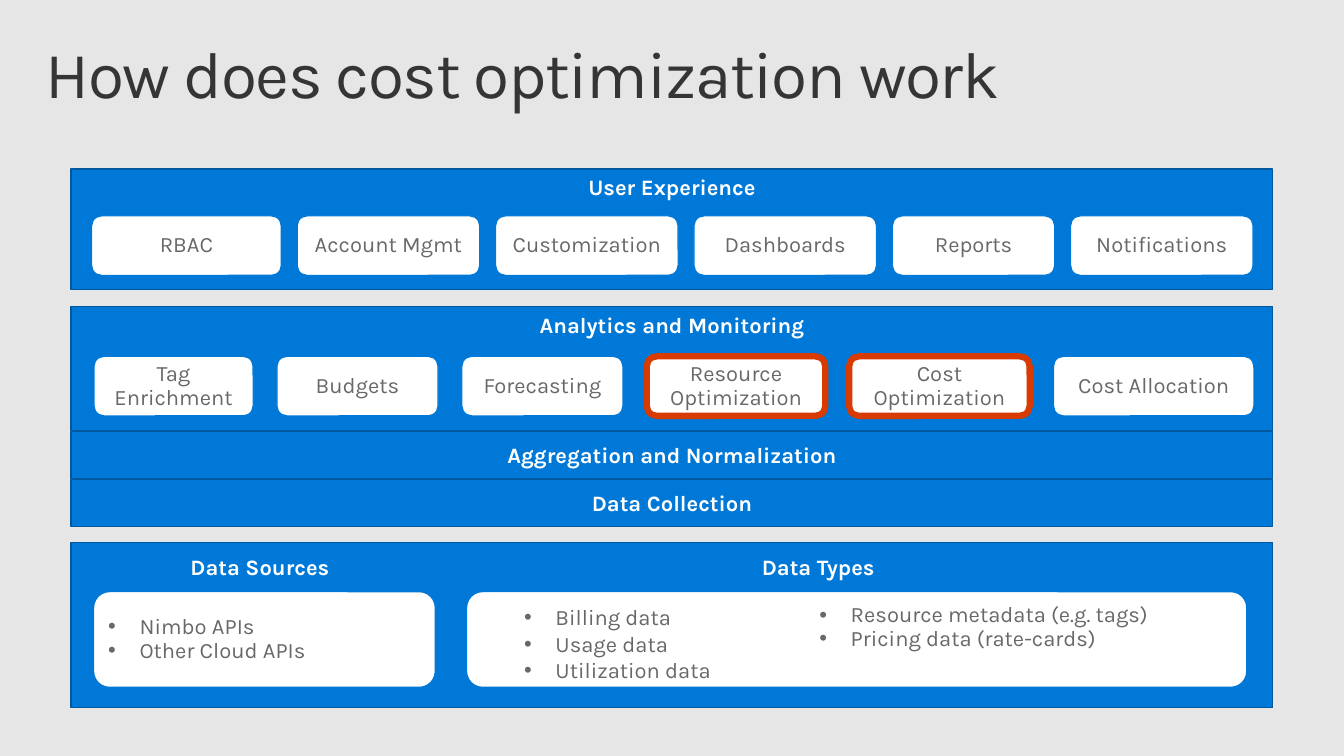
from lxml.etree import SubElement
from pptx import Presentation
from pptx.dml.color import RGBColor
from pptx.enum.shapes import MSO_SHAPE
from pptx.enum.text import MSO_ANCHOR, MSO_AUTO_SIZE, PP_ALIGN
from pptx.oxml.ns import qn
from pptx.util import Cm, Pt

BACKGROUND = RGBColor(0xE6, 0xE6, 0xE6)
TITLE_GREY = RGBColor(0x35, 0x35, 0x35)
TEXT_GREY = RGBColor(0x68, 0x68, 0x68)
BLUE = RGBColor(0x00, 0x78, 0xD7)
DARK_BLUE = RGBColor(0x00, 0x59, 0x9F)
ORANGE = RGBColor(0xD8, 0x3B, 0x01)
WHITE = RGBColor(0xFF, 0xFF, 0xFF)
FONT = "Karla"

presentation = Presentation()
presentation.slide_width = Cm(33.87)
presentation.slide_height = Cm(19.05)
slide = presentation.slides.add_slide(presentation.slide_layouts[5])
slide.background.fill.solid()
slide.background.fill.fore_color.rgb = BACKGROUND


def write_lines(shape, lines, color, alignment=PP_ALIGN.LEFT, spacing=None,
                bold=False, bulleted=False):
    """Fill a shape with one paragraph per line."""
    frame = shape.text_frame
    frame.word_wrap = True
    frame.text = "\n".join(lines)
    for paragraph in frame.paragraphs:
        if bulleted:
            properties = paragraph._p.get_or_add_pPr()
            properties.set("marL", str(Cm(0.79)))
            properties.set("indent", str(-Cm(0.79)))
            SubElement(properties, qn("a:buFont"), typeface="Arial")
            SubElement(properties, qn("a:buChar"), char="•")
        paragraph.alignment = alignment
        paragraph.line_spacing = spacing
        paragraph.font.name = FONT
        paragraph.font.size = Pt(15.7)
        paragraph.font.bold = bold
        paragraph.font.color.rgb = color


def add_box(kind, left, top, width, height, fill, line, line_width=0.85):
    box = slide.shapes.add_shape(kind, Cm(left), Cm(top), Cm(width), Cm(height))
    box.shadow.inherit = False
    box.fill.solid()
    box.fill.fore_color.rgb = fill
    box.line.color.rgb = line
    box.line.width = Pt(line_width)
    box.text_frame.vertical_anchor = MSO_ANCHOR.MIDDLE
    return box


# Title
title = slide.shapes.title
title.left, title.top, title.width, title.height = Cm(0.74), Cm(0.81), Cm(32.39), Cm(2.49)
title.text = "How does cost optimization work"
title_frame = title.text_frame
title_frame.auto_size = MSO_AUTO_SIZE.NONE
title_frame.vertical_anchor = MSO_ANCHOR.TOP
title_frame.margin_left = title_frame.margin_right = Cm(0.41)
title_frame.margin_top = title_frame.margin_bottom = Cm(0.25)
title_paragraph = title_frame.paragraphs[0]
title_paragraph.alignment = PP_ALIGN.LEFT
title_paragraph.line_spacing = 0.9
title_paragraph.font.name = FONT
title_paragraph.font.size = Pt(47)
title_paragraph.font.color.rgb = TITLE_GREY
title_paragraph.runs[0].font._element.set("spc", "-100")

# Layers: heading, top, height, anchor
layers = [
    ("Data Collection", 12.08, 1.18, MSO_ANCHOR.MIDDLE),
    ("Aggregation and Normalization", 10.87, 1.18, MSO_ANCHOR.MIDDLE),
    ("Analytics and Monitoring", 7.73, 3.12, MSO_ANCHOR.TOP),
    ("User Experience", 4.26, 3.03, MSO_ANCHOR.TOP),
    ("", 13.67, 4.17, MSO_ANCHOR.TOP),
]
for heading, top, height, anchor in layers:
    layer = add_box(MSO_SHAPE.RECTANGLE, 1.79, top, 30.29, height, BLUE, DARK_BLUE)
    layer.text_frame.vertical_anchor = anchor
    if heading:
        write_lines(layer, [heading], WHITE, PP_ALIGN.CENTER, bold=True)

# Feature rows: left, top, gap, (label, width) of each feature
feature_rows = [
    (2.31, 5.44, 0.4, [
        ("RBAC", 4.78), ("Account Mgmt", 4.6), ("Customization", 4.6),
        ("Dashboards", 4.6), ("Reports", 4.09), ("Notifications", 4.6)]),
    (2.37, 8.98, 0.6, [
        ("Tag Enrichment", 4.01), ("Budgets", 4.06), ("Forecasting", 4.06),
        ("Resource Optimization", 4.5), ("Cost Optimization", 4.55),
        ("Cost Allocation", 5.05)]),
]
highlighted = {"Resource Optimization", "Cost Optimization"}
for left, top, gap, features in feature_rows:
    for label, width in features:
        line, line_width = (ORANGE, 4.5) if label in highlighted else (BLUE, 0.85)
        feature = add_box(MSO_SHAPE.ROUNDED_RECTANGLE, left, top, width, 1.5,
                          WHITE, line, line_width)
        write_lines(feature, [label], TEXT_GREY, PP_ALIGN.CENTER, 0.9)
        left += width + gap

# Data sources and data types
sources = add_box(MSO_SHAPE.ROUNDED_RECTANGLE, 2.36, 14.91, 8.61, 2.41, WHITE, BLUE)
write_lines(sources, ["Nimbo APIs", "Other Cloud APIs"], TEXT_GREY, spacing=0.9, bulleted=True)
add_box(MSO_SHAPE.ROUNDED_RECTANGLE, 11.76, 14.91, 19.66, 2.41, WHITE, BLUE)

# Text boxes: left, top, width, height, lines, line spacing, is a heading
text_boxes = [
    (4.29, 13.72, 5.79, 1.4, ["Data Sources"], 0.9, True),
    (18.69, 13.72, 5.79, 1.4, ["Data Types"], 0.9, True),
    (12.7, 14.81, 7.44, 2.82, ["Billing data", "Usage data", "Utilization data"], None, False),
    (20.14, 14.81, 10.9, 2.62,
     ["Resource metadata (e.g. tags)", "Pricing data (rate-cards)"], 0.9, False),
]
for left, top, width, height, lines, spacing, is_heading in text_boxes:
    text_box = slide.shapes.add_textbox(Cm(left), Cm(top), Cm(width), Cm(height))
    frame = text_box.text_frame
    frame.margin_left = frame.margin_right = Cm(0.51)
    frame.margin_top = frame.margin_bottom = Cm(0.41)
    write_lines(text_box, lines, WHITE if is_heading else TEXT_GREY, spacing=spacing,
                bold=is_heading, bulleted=not is_heading)

presentation.save("out.pptx")
